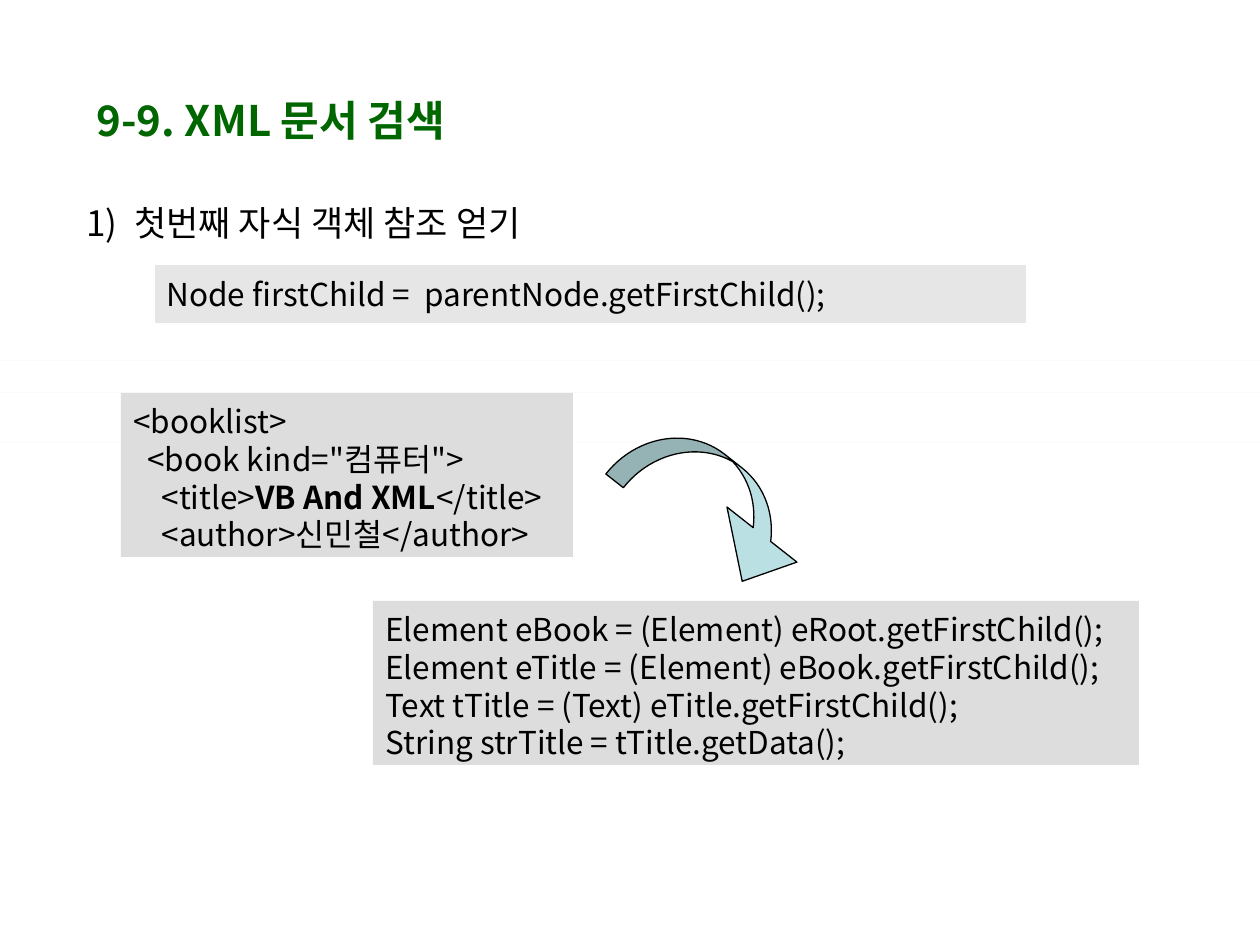
from dataclasses import dataclass

import pptx
import pptx.dml.color
import pptx.enum.shapes
import pptx.enum.text
import pptx.oxml.ns
import pptx.util
from lxml import etree

EMU_PER_PX = 914400 // 126


@dataclass(frozen=True)
class Theme:
    font: str = "Noto Sans CJK KR"
    title: str = "006600"
    text: str = "000000"
    rule: str = "E6E6E6"
    syntax: str = "E6E6E6"
    code: str = "DDDDDD"
    arrow: str = "BBE0E3"
    title_size: int = 24
    heading_size: int = 20
    code_size: int = 18
    code_spacing: float = 21.6


THEME = Theme()


def px(length):
    return pptx.util.Emu(length * EMU_PER_PX)


def box(*lengths):
    return [px(length) for length in lengths]


def rgb(value):
    return pptx.dml.color.RGBColor.from_string(value)


def fill_solid(item, color):
    item.fill.solid()
    item.fill.fore_color.rgb = rgb(color)


def add_run(paragraph, text, size, color=THEME.text, bold=False):
    run = paragraph.add_run()
    run.text = text
    run.font.size = pptx.util.Pt(size)
    run.font.bold = bold
    run.font.color.rgb = rgb(color)
    run.font.name = THEME.font
    east_asian = etree.SubElement(run.font._element, pptx.oxml.ns.qn("a:ea"))
    east_asian.set("typeface", THEME.font)


def add_shape(slide, kind, bounds, color):
    shape = slide.shapes.add_shape(kind, *box(*bounds))
    shape.shadow.inherit = False
    fill_solid(shape, color)
    shape.line.fill.background()
    return shape


def set_title(slide, text, bounds):
    title = slide.shapes.title
    title.left, title.top, title.width, title.height = box(*bounds)
    title.text_frame.vertical_anchor = pptx.enum.text.MSO_ANCHOR.MIDDLE
    paragraph = title.text_frame.paragraphs[0]
    paragraph.alignment = pptx.enum.text.PP_ALIGN.LEFT
    add_run(paragraph, text, THEME.title_size, THEME.title, bold=True)


def add_heading(slide, text, bounds):
    """Add a numbered line whose text hangs after a tab."""
    frame = slide.shapes.add_textbox(*box(*bounds)).text_frame
    frame.word_wrap = True
    paragraph = frame.paragraphs[0]
    properties = paragraph._p.get_or_add_pPr()
    properties.set("marL", str(px(48)))
    properties.set("indent", str(-px(48)))
    add_run(paragraph, text, THEME.heading_size)


def add_syntax_table(slide, text, bounds):
    table = slide.shapes.add_table(1, 1, *box(*bounds)).table
    table.first_row = table.horz_banding = False
    cell = table.cell(0, 0)
    fill_solid(cell, THEME.syntax)
    add_run(cell.text_frame.paragraphs[0], text, THEME.code_size)


def add_code(slide, lines, bounds):
    """Add a code panel; each line is a list of (text, bold) runs."""
    shape = add_shape(slide, pptx.enum.shapes.MSO_SHAPE.RECTANGLE, bounds, THEME.code)
    frame = shape.text_frame
    frame.word_wrap = False
    frame.vertical_anchor = pptx.enum.text.MSO_ANCHOR.TOP
    frame.margin_top = px(9)
    frame.margin_bottom = px(3)
    for index, runs in enumerate(lines):
        paragraph = frame.add_paragraph() if index else frame.paragraphs[0]
        paragraph.alignment = pptx.enum.text.PP_ALIGN.LEFT
        paragraph.line_spacing = pptx.util.Pt(THEME.code_spacing)
        for text, bold in runs:
            add_run(paragraph, text, THEME.code_size, bold=bold)


def add_curved_arrow(slide, bounds, rotation):
    arrow = add_shape(slide, pptx.enum.shapes.MSO_SHAPE.CURVED_DOWN_ARROW, bounds, THEME.arrow)
    arrow.rotation = rotation
    arrow.line.color.rgb = rgb(THEME.text)
    arrow.line.width = pptx.util.Pt(0.75)
    for index, value in enumerate((0.25, 1, 0.55)):
        arrow.adjustments[index] = value


def main():
    presentation = pptx.Presentation()
    presentation.slide_width, presentation.slide_height = box(1260, 945)
    slide = presentation.slides.add_slide(presentation.slide_layouts[5])

    set_title(slide, "9-9. XML 문서 검색", (84, 76, 873, 87))
    for top in (361, 393, 443):
        add_shape(slide, pptx.enum.shapes.MSO_SHAPE.RECTANGLE, (0, top, 1260, 0), THEME.rule)
    add_heading(slide, "1)\t첫번째 자식 객체 참조 얻기", (74, 195, 1134, 69))
    add_syntax_table(slide, "Node firstChild =  parentNode.getFirstChild();", (154, 264, 873, 60))
    add_code(slide, [
        [("<booklist>", False)],
        [('  <book kind="컴퓨터">', False)],
        [("    <title>", False), ("VB And XML", True), ("</title>", False)],
        [("    <author>신민철</author>", False)],
    ], (121, 393, 452, 164))
    statements = (
        "Element eBook = (Element) eRoot.getFirstChild();",
        "Element eTitle = (Element) eBook.getFirstChild();",
        "Text tTitle = (Text) eTitle.getFirstChild();",
        "String strTitle = tTitle.getData();",
    )
    add_code(slide, [[(statement, False)] for statement in statements], (373, 601, 766, 164))
    add_curved_arrow(slide, (610, 462, 218, 89), 38.2)
    presentation.save("out.pptx")


if __name__ == "__main__":
    main()
